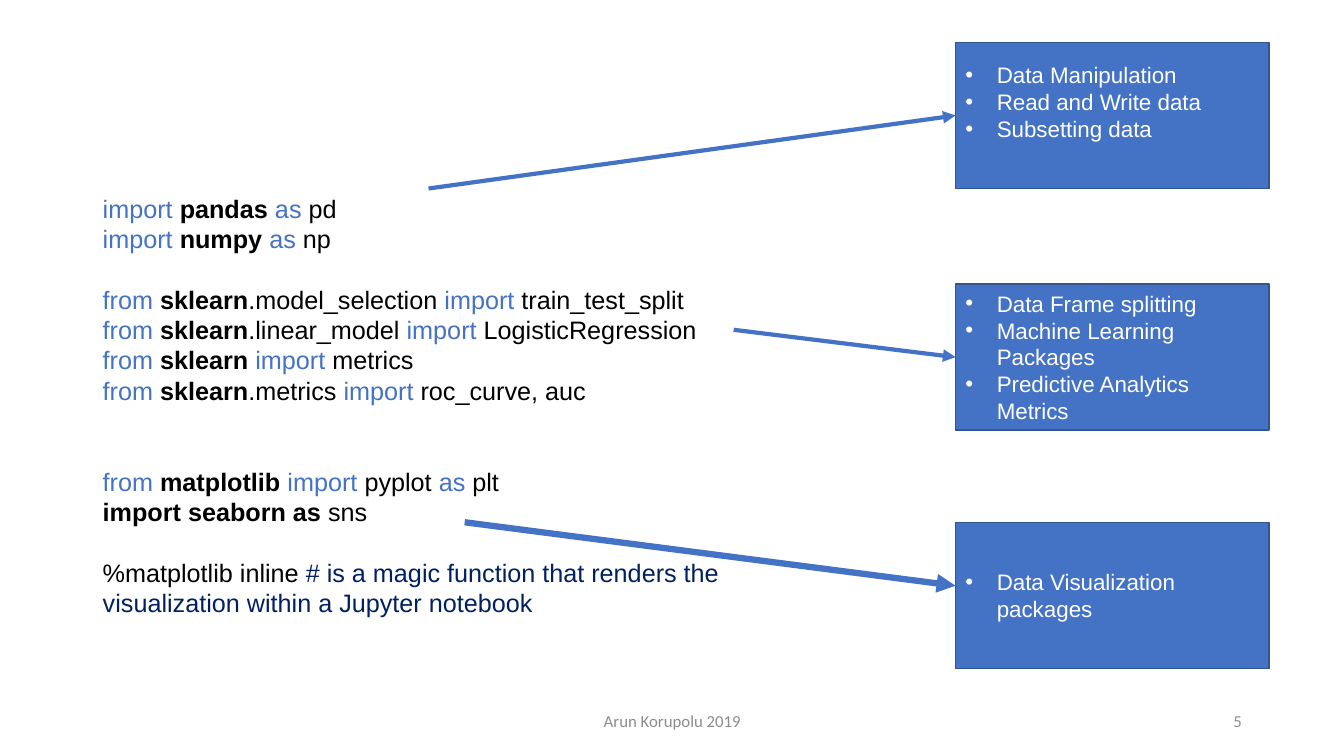
from lxml import etree
from pptx import Presentation
from pptx.dml.color import RGBColor
from pptx.enum.shapes import MSO_CONNECTOR, MSO_SHAPE
from pptx.enum.text import MSO_ANCHOR, PP_ALIGN
from pptx.oxml.ns import qn
from pptx.util import Cm, Pt

RECT = MSO_SHAPE.RECTANGLE
STRAIGHT = MSO_CONNECTOR.STRAIGHT
TOP, MIDDLE = MSO_ANCHOR.TOP, MSO_ANCHOR.MIDDLE
LEFT, CENTER, RIGHT = PP_ALIGN.LEFT, PP_ALIGN.CENTER, PP_ALIGN.RIGHT

BLUE = RGBColor(0x44, 0x72, 0xC4)
EDGE = RGBColor(0x32, 0x54, 0x91)
NAVY = RGBColor(0x00, 0x20, 0x60)
BLACK = RGBColor(0x00, 0x00, 0x00)
WHITE = RGBColor(0xFF, 0xFF, 0xFF)
GRAY = RGBColor(0x8C, 0x8C, 0x8C)

KEYWORD, MODULE, PLAIN, REMARK = (BLUE, False), (BLACK, True), (BLACK, False), (NAVY, False)
CODE_LINE = 21.7

CODE = [
    (0, [("import ", KEYWORD), ("pandas ", MODULE), ("as", KEYWORD), (" pd", PLAIN)]),
    (0, [("import ", KEYWORD), ("numpy ", MODULE), ("as", KEYWORD), (" np", PLAIN)]),
    (1, [("from ", KEYWORD), ("sklearn", MODULE), (".model_selection ", PLAIN),
         ("import ", KEYWORD), ("train_test_split", PLAIN)]),
    (0, [("from ", KEYWORD), ("sklearn", MODULE), (".linear_model ", PLAIN),
         ("import ", KEYWORD), ("LogisticRegression", PLAIN)]),
    (0, [("from ", KEYWORD), ("sklearn", MODULE), (" import ", KEYWORD), ("metrics", PLAIN)]),
    (0, [("from ", KEYWORD), ("sklearn", MODULE), (".metrics", PLAIN),
         (" import ", KEYWORD), ("roc_curve, auc", PLAIN)]),
    (2, [("from ", KEYWORD), ("matplotlib", MODULE), (" import ", KEYWORD),
         ("pyplot ", PLAIN), ("as ", KEYWORD), ("plt", PLAIN)]),
    (0, [("import seaborn as ", MODULE), ("sns", PLAIN)]),
    (1, [("%matplotlib inline ", PLAIN),
         ("# is a magic function that renders the visualization "
          "within a Jupyter notebook", REMARK)]),
]

BOX_LEFT, BOX_WIDTH, BOX_HEIGHT = 24.08, 7.9, 3.68
BOXES = [
    {"top": 1.07, "bottom_inset": 0.81, "start": (10.8, 4.75), "end_y": None, "weight": 3,
     "points": ["Data Manipulation", "Read and Write data", "Subsetting data"]},
    {"top": 7.16, "bottom_inset": 0.13, "start": (18.49, 8.31), "end_y": None, "weight": 3,
     "points": ["Data Frame splitting", "Machine Learning Packages",
                "Predictive Analytics Metrics"]},
    {"top": 13.16, "bottom_inset": 0.13, "start": (11.71, 13.16), "end_y": 14.76, "weight": 4.5,
     "points": ["Data Visualization packages"]},
]

FOOTERS = [
    ("Arun Korupolu 2019", 11.23, 11.43, CENTER),
    ("5", 23.93, 7.62, RIGHT),
]


def add_run(p, text, size, font, color, bold=False):
    r = p.add_run()
    r.text = text
    r.font.size = Pt(size)
    r.font.name = font
    r.font.color.rgb = color
    r.font.bold = bold


def add_text(s, left, top, width, height, anchor):
    tf = s.shapes.add_textbox(Cm(left), Cm(top), Cm(width), Cm(height)).text_frame
    tf.word_wrap = True
    tf.vertical_anchor = anchor
    return tf


def next_paragraph(tf, index):
    return tf.add_paragraph() if index else tf.paragraphs[0]


def add_bullet(p):
    pPr = p._p.get_or_add_pPr()
    pPr.set("marL", str(Cm(0.79)))
    pPr.set("indent", str(-Cm(0.79)))
    etree.SubElement(pPr, qn("a:buFont")).set("typeface", "Arial")
    etree.SubElement(pPr, qn("a:buChar")).set("char", "•")


def add_box(s, box):
    sp = s.shapes.add_shape(RECT, Cm(BOX_LEFT), Cm(box["top"]), Cm(BOX_WIDTH), Cm(BOX_HEIGHT))
    sp.shadow.inherit = False
    sp.fill.solid()
    sp.fill.fore_color.rgb = BLUE
    sp.line.color.rgb = EDGE
    sp.line.width = Pt(1)
    tf = sp.text_frame
    tf.word_wrap = True
    tf.vertical_anchor = MIDDLE
    tf.margin_bottom = Cm(box["bottom_inset"])
    for i, point in enumerate(box["points"]):
        p = next_paragraph(tf, i)
        p.alignment = LEFT
        add_bullet(p)
        add_run(p, point, 16, "Arial", WHITE)
    return sp


def add_arrow(s, box, sp):
    x, y = box["start"]
    end_y = box["end_y"] or box["top"] + BOX_HEIGHT / 2
    line = s.shapes.add_connector(STRAIGHT, Cm(x), Cm(y), Cm(BOX_LEFT), Cm(end_y))
    if box["end_y"] is None:
        line.end_connect(sp, 1)
    line.line.color.rgb = BLUE
    line.line.width = Pt(box["weight"])
    etree.SubElement(line.line._get_or_add_ln(), qn("a:tailEnd")).set("type", "triangle")
    etree.SubElement(line._element.spPr, qn("a:effectLst"))


def main():
    prs = Presentation()
    prs.slide_width, prs.slide_height = Cm(33.87), Cm(19.05)
    s = prs.slides.add_slide(prs.slide_layouts[6])

    tf = add_text(s, 2.34, 4.75, 16.94, 11.02, TOP)
    for i, (gap, runs) in enumerate(CODE):
        p = next_paragraph(tf, i)
        p.space_before = Pt(gap * CODE_LINE)
        for text, (color, bold) in runs:
            add_run(p, text, 18, "Arial", color, bold)

    for box in BOXES:
        add_arrow(s, box, add_box(s, box))

    for text, left, width, align in FOOTERS:
        p = add_text(s, left, 17.65, width, 1.02, MIDDLE).paragraphs[0]
        p.alignment = align
        add_run(p, text, 12, "Calibri", GRAY)

    prs.save("out.pptx")


if __name__ == "__main__":
    main()
